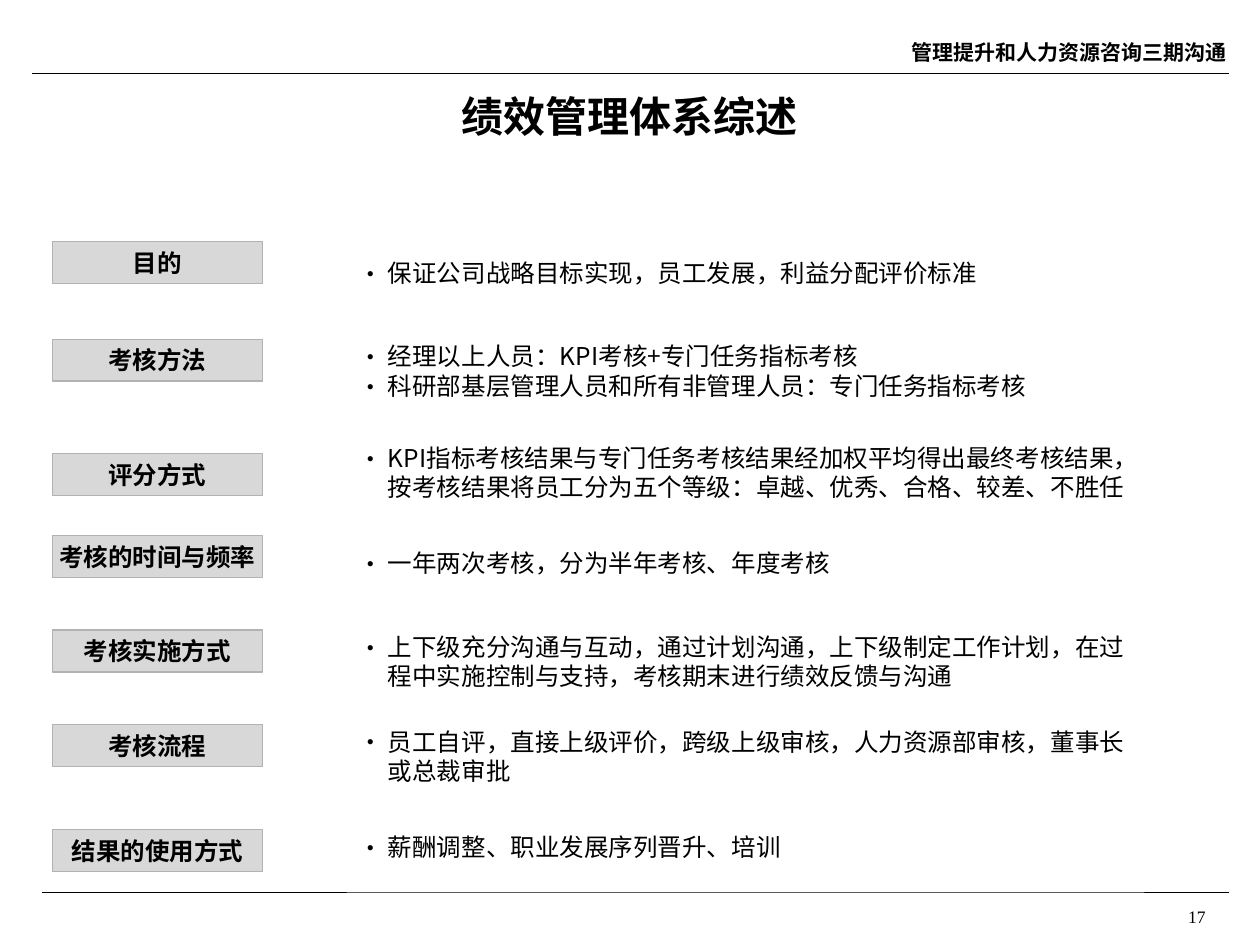
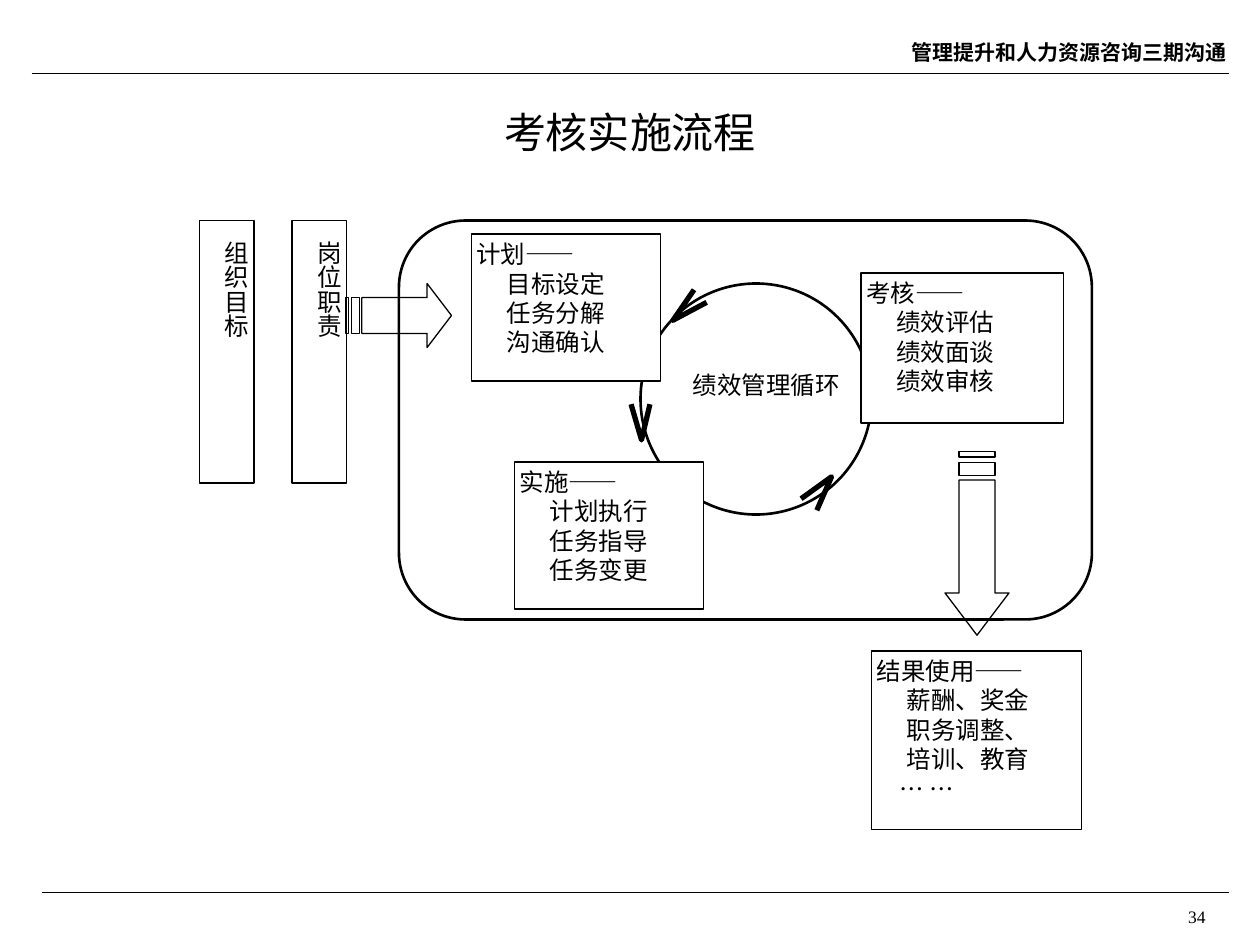
from lxml.etree import SubElement
from pptx import Presentation
from pptx.dml.color import RGBColor
from pptx.enum.shapes import MSO_CONNECTOR, MSO_SHAPE
from pptx.enum.text import MSO_ANCHOR, MSO_AUTO_SIZE, PP_ALIGN
from pptx.oxml.ns import qn
from pptx.util import Inches, Pt

BLACK = RGBColor(0, 0, 0)
WHITE = RGBColor(255, 255, 255)
GRAY = RGBColor(0xB2, 0xB2, 0xB2)
SANS = "Noto Sans CJK SC"
SERIF = "Times New Roman"
CELL = Inches(1) // 12

MID = {"vertical_anchor": MSO_ANCHOR.MIDDLE, "word_wrap": True}
LOOSE = {**MID, "word_wrap": False}
TOP = {"vertical_anchor": MSO_ANCHOR.TOP, "word_wrap": True}
SLIM = {**TOP, **{f"margin_{side}": Inches(0.04) for side in ("left", "right", "top", "bottom")}}
TALL = {**MID, "margin_left": Inches(0.2), "margin_right": Inches(0.05),
        "margin_top": Inches(0.16), "margin_bottom": Inches(0.1)}
LEFT = {"alignment": PP_ALIGN.LEFT, "line_spacing": Pt(16.8)}
FULL = {"alignment": PP_ALIGN.JUSTIFY, "line_spacing": Pt(16.8)}
RIGHT = {"alignment": PP_ALIGN.RIGHT}
CENTER = {"alignment": PP_ALIGN.CENTER}
BODY = {"size": Pt(14), "bold": False, "name": SANS}
BOLD = {**BODY, "bold": True}


def write(shape, lines, frame, para, font):
    box = shape.text_frame
    for key, val in frame.items():
        setattr(box, key, val)
    for i, line in enumerate(lines):
        item = box.add_paragraph() if i else box.paragraphs[0]
        for key, val in para.items():
            setattr(item, key, val)
        run = item.add_run()
        run.text = line
        run.font.color.rgb = BLACK
        for key, val in font.items():
            setattr(run.font, key, val)
        SubElement(run.font._element, qn("a:ea")).set("typeface", SANS)
    return box


def paint(shape, fill, line, width):
    shape.shadow.inherit = False
    if fill is None:
        shape.fill.background()
    else:
        shape.fill.solid()
        shape.fill.fore_color.rgb = fill
    if line is None:
        shape.line.fill.background()
    else:
        shape.line.color.rgb = line
        shape.line.width = Pt(width)
    return shape


deck = Presentation()
deck.slide_width = 120 * CELL
deck.slide_height = 90 * CELL

pages = []
for name, spot, face, page in [
    ("绩效管理体系综述", (6, 7, 108, 8), {"size": Pt(24), "bold": True, "name": SANS}, "17"),
    ("考核实施流程", (9, 8, 102, 9), {"size": Pt(24), "bold": False, "name": SERIF}, "34"),
]:
    slide = deck.slides.add_slide(deck.slide_layouts[5])
    pages.append(slide.shapes)
    for start, row in [(4, 85), (3, 7)]:
        rule = slide.shapes.add_connector(
            MSO_CONNECTOR.STRAIGHT, start * CELL, row * CELL, 117 * CELL, row * CELL)
        rule.line.color.rgb = BLACK
        rule.line.width = Pt(0.75)
        SubElement(rule._element.spPr, qn("a:effectLst"))
    head = slide.shapes.add_textbox(81 * CELL, 2 * CELL, 37 * CELL, 6 * CELL)
    write(head, ["管理提升和人力资源咨询三期沟通"], LOOSE, RIGHT, {**BOLD, "size": Pt(12)})
    title = slide.shapes.title
    for key, val in zip(("left", "top", "width", "height"), spot):
        setattr(title, key, val * CELL)
    write(title, [name], {**MID, "auto_size": MSO_AUTO_SIZE.NONE}, CENTER, face)
    foot = slide.shapes.add_textbox(85 * CELL, int(85.7 * CELL), 31 * CELL, int(2.3 * CELL))
    write(foot, [page], TOP, RIGHT, {"size": Pt(10), "name": SERIF})

list_page, flow = pages

for label, row, note_row, lift, notes in [
    ("目的", 23, 23, 0, ["保证公司战略目标实现，员工发展，利益分配评价标准"]),
    ("考核方法", 32.3, 32.3, 0, ["经理以上人员：KPI考核+专门任务指标考核",
                             "科研部基层管理人员和所有非管理人员：专门任务指标考核"]),
    ("评分方式", 43.2, 42, 0, ["KPI指标考核结果与专门任务考核结果经加权平均得出最终考核结果，"
                           "按考核结果将员工分为五个等级：卓越、优秀、合格、较差、不胜任"]),
    ("考核的时间与频率", 51, 52, 0.23, ["一年两次考核，分为半年考核、年度考核"]),
    ("考核实施方式", 60, 60, 0, ["上下级充分沟通与互动，通过计划沟通，上下级制定工作计划，"
                           "在过程中实施控制与支持，考核期末进行绩效反馈与沟通"]),
    ("考核流程", 69, 69, 0, ["员工自评，直接上级评价，跨级上级审核，人力资源部审核，董事长或总裁审批"]),
    ("结果的使用方式", 79, 79, 0.23, ["薪酬调整、职业发展序列晋升、培训"]),
]:
    tag = list_page.add_shape(MSO_SHAPE.RECTANGLE, 5 * CELL, int(row * CELL), 20 * CELL, 4 * CELL)
    paint(tag, GRAY, GRAY, 0.75)
    tint = tag._element.spPr.find(qn("a:solidFill"))[0]
    SubElement(tint, qn("a:alpha")).set("val", "50000")
    write(tag, [label], LOOSE, CENTER, BOLD)
    note = list_page.add_shape(
        MSO_SHAPE.RECTANGLE, 33 * CELL, int(note_row * CELL), 76 * CELL, 6 * CELL)
    paint(note, WHITE, None, 0)
    box = write(note, notes, {**MID, "margin_bottom": Inches(0.05 + lift)}, LEFT, BODY)
    for item in box.paragraphs:
        props = item._p.get_or_add_pPr()
        props.set("marL", str(Inches(0.23)))
        props.set("indent", str(-Inches(0.23)))
        SubElement(SubElement(props, qn("a:buClr")), qn("a:srgbClr")).set("val", str(BLACK))
        SubElement(props, qn("a:buFont")).set("typeface", SANS)
        SubElement(props, qn("a:buChar")).set("char", "•")

ring = flow.add_shape(MSO_SHAPE.OVAL, 61 * CELL, 27 * CELL, 22 * CELL, 22 * CELL)
paint(ring, None, BLACK, 1.5)

for tick in [
    [(61.9, 38.5), (61.1, 41.9), (60.1, 38.5)],
    [(76.3, 47.5), (79.2, 45.4), (77.8, 48.6)],
    [(67.3, 28.8), (64.1, 30.5), (66.1, 27.6)],
]:
    dots = [(x * CELL, y * CELL) for x, y in tick]
    pen = flow.build_freeform(*dots[0])
    pen.add_line_segments(dots[1:], close=False)
    paint(pen.convert_to_shape(), None, BLACK, 3)

core = flow.add_textbox(63 * CELL, int(34.8 * CELL), 20 * CELL, 5 * CELL)
write(core, ["绩效管理循环"], SLIM, CENTER, {**BODY, "name": SERIF})

frame = flow.add_shape(MSO_SHAPE.ROUNDED_RECTANGLE, 38 * CELL, 21 * CELL, 66 * CELL, 38 * CELL)
frame.adjustments[0] = 0.167
paint(frame, None, BLACK, 1.5)

for col, text in [(27.8, "岗位职责"), (19, "组织目标")]:
    bar = flow.add_shape(
        MSO_SHAPE.RECTANGLE, int(col * CELL), 21 * CELL, int(5.2 * CELL), 25 * CELL)
    paint(bar, None, BLACK, 1)
    box = write(bar, [text], TALL, CENTER, BODY)
    box._txBody.bodyPr.set("vert", "eaVert")

arrow = [
    [(0.155, 0.22), (0.77, 0.22), (0.77, 0), (1, 0.5), (0.77, 1), (0.77, 0.78), (0.155, 0.78)],
    [(0, 0.22), (0.03, 0.22), (0.03, 0.78), (0, 0.78)],
    [(0.06, 0.22), (0.13, 0.22), (0.13, 0.78), (0.06, 0.78)],
]
for col, row, size, down in [(32.9, 27, 10.1, False), (90, 43, 17.5, True)]:
    pen = None
    for part in arrow:
        spots = [(v * 6.1, u * size) if down else (u * size, v * 6.1) for u, v in part]
        dots = [((col + x) * CELL, (row + y) * CELL) for x, y in spots]
        if pen is None:
            pen = flow.build_freeform(*dots[0])
        else:
            pen.move_to(*dots[0])
        pen.add_line_segments(dots[1:], close=True)
    paint(pen.convert_to_shape(), None, BLACK, 0.75)

for col, row, wide, high, fill, lines in [
    (82, 26, 19.3, 14.3, WHITE, ["考核——", "绩效评估", "绩效面谈", "绩效审核"]),
    (83, 62, 20, 17, None, ["结果使用——", "薪酬、奖金", "职务调整、", "培训、教育", "… …"]),
    (49, 44, 18, 14, WHITE, ["实施——", "计划执行", "任务指导", "任务变更"]),
    (44.9, 22.3, 18, 14, WHITE, ["计划——", "目标设定", "任务分解", "沟通确认"]),
]:
    step = flow.add_shape(
        MSO_SHAPE.RECTANGLE, *[int(n * CELL) for n in (col, row, wide, high)])
    paint(step, fill, BLACK, 0.75)
    box = write(step, lines, SLIM, FULL, BODY)
    for item in box.paragraphs[1:]:
        inset = 0.18 if item.text == "… …" else 0.24
        item._p.get_or_add_pPr().set("marL", str(Inches(inset)))

deck.save("out.pptx")
